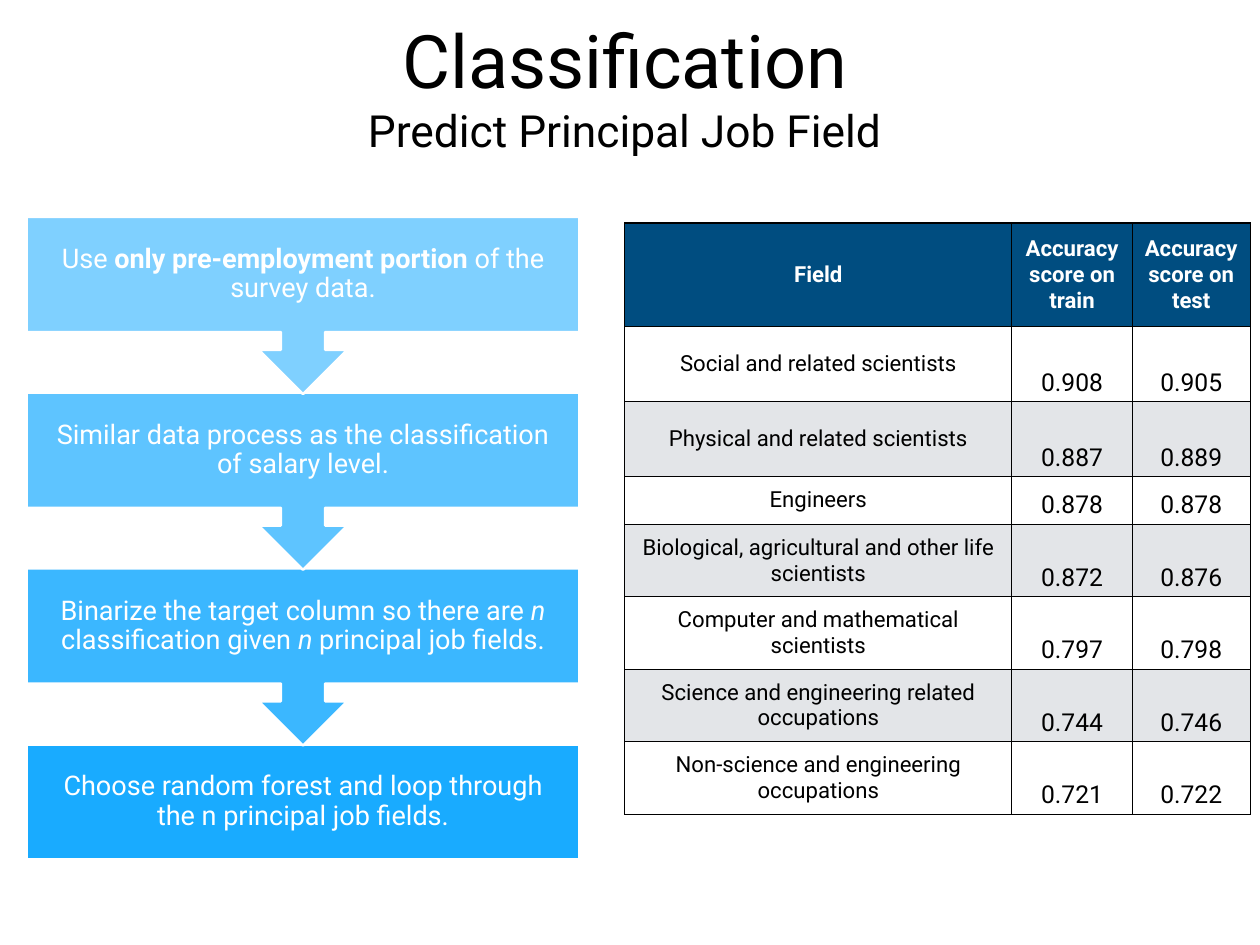
import pptx
import pptx.dml.color
import pptx.enum.shapes
import pptx.enum.text
import pptx.oxml
import pptx.oxml.ns
import pptx.util

FONT = "Roboto"
WIDTH = pptx.util.Inches(14.22)
HEIGHT = pptx.util.Inches(10.67)
ALIGN = pptx.enum.text.PP_ALIGN
ANCHOR = pptx.enum.text.MSO_ANCHOR
SHAPE = pptx.enum.shapes.MSO_SHAPE

STEPS = [
    [("Use ", ""), ("only pre-employment portion", "b"), (" of the survey data.", "")],
    [("Similar data process as the classification of salary level.", "")],
    [("Binarize the target column so there are ", ""), ("n", "i"),
     (" classification given ", ""), ("n", "i"), (" principal job fields.", "")],
    [("Choose random forest and loop through the n principal job fields.", "")],
]
STEP_TOP, STEP_PITCH = 22.96, 18.6
BOX_HEIGHT, CALLOUT_HEIGHT = 12.18, 18.74

SCORES = [
    ("Field", "Accuracy score on train", "Accuracy score on test"),
    ("Social and related scientists", "0.908", "0.905"),
    ("Physical and related scientists", "0.887", "0.889"),
    ("Engineers", "0.878", "0.878"),
    ("Biological, agricultural and other life scientists", "0.872", "0.876"),
    ("Computer and mathematical scientists", "0.797", "0.798"),
    ("Science and engineering related occupations", "0.744", "0.746"),
    ("Non-science and engineering occupations", "0.721", "0.722"),
]
COL_WIDTHS = [30.73, 9.56, 9.35]
ROW_HEIGHTS = [10.97, 7.93, 7.93, 5.06] + [7.67] * 4


def cols(n):
    return int(WIDTH * n / 100)


def rows(n):
    return int(HEIGHT * n / 100)


def color(value):
    return pptx.dml.color.RGBColor.from_string(value)


def paint(fill, value):
    fill.solid()
    fill.fore_color.rgb = color(value)


def add_run(p, text, size, value, style=""):
    r = p.add_run()
    r.text = text
    r.font.name = FONT
    r.font.size = pptx.util.Pt(size)
    r.font.bold = "b" in style
    r.font.italic = "i" in style
    r.font.color.rgb = color(value)


def set_frame(tf, inset):
    tf.word_wrap = True
    tf.auto_size = pptx.enum.text.MSO_AUTO_SIZE.NONE
    tf.vertical_anchor = ANCHOR.MIDDLE
    tf.margin_left = tf.margin_right = pptx.util.Inches(inset)
    tf.margin_top = tf.margin_bottom = pptx.util.Inches(inset)


def add_title(s):
    sp = s.shapes.title
    sp.left, sp.top, sp.width, sp.height = cols(6.89), 0, cols(85.37), rows(18.18)
    tf = sp.text_frame
    set_frame(tf, 0.06)
    lines = [("Classification", 60), ("Predict Principal Job Field", 36)]
    for i, (text, size) in enumerate(lines):
        p = tf.add_paragraph() if i else tf.paragraphs[0]
        p.alignment = ALIGN.CENTER
        add_run(p, text, size, "000000")


def add_step(s, i):
    last = i == len(STEPS) - 1
    kind = SHAPE.RECTANGLE if last else SHAPE.DOWN_ARROW_CALLOUT
    height = BOX_HEIGHT if last else CALLOUT_HEIGHT
    sp = s.shapes.add_shape(kind, cols(2.11), rows(STEP_TOP + i * STEP_PITCH),
                            cols(43.88), rows(height))
    sp.shadow.inherit = False
    paint(sp.fill, "00A2FF")
    opacity = round(50 + 40 * i / (len(STEPS) - 1))
    srgb = sp.fill._xPr.find(".//" + pptx.oxml.ns.qn("a:srgbClr"))
    alpha = pptx.oxml.parse_xml(
        f'<a:alpha {pptx.oxml.ns.nsdecls("a")} val="{opacity * 1000}"/>')
    srgb.append(alpha)
    sp.line.color.rgb = color("FFFFFF")
    sp.line.width = pptx.util.Pt(2)
    tf = sp.text_frame
    set_frame(tf, 0.17)
    p = tf.paragraphs[0]
    p.alignment = ALIGN.CENTER
    p.line_spacing = 0.9
    for text, style in STEPS[i]:
        add_run(p, text, 22, "FFFFFF", style)


def add_borders(cell):
    tcPr = cell._tc.get_or_add_tcPr()
    for side in "LRTB":
        tcPr.append(pptx.oxml.parse_xml(
            f'<a:ln{side} {pptx.oxml.ns.nsdecls("a")} w="12700"><a:solidFill>'
            f'<a:srgbClr val="000000"/></a:solidFill></a:ln{side}>'))


def fill_cell(cell, text, row, col):
    header = row == 0
    score = not header and col > 0
    add_borders(cell)
    paint(cell.fill, "004D80" if header else "FFFFFF" if row % 2 else "E3E5E8")
    cell.vertical_anchor = ANCHOR.BOTTOM if score else ANCHOR.MIDDLE
    p = cell.text_frame.paragraphs[0]
    p.alignment = ALIGN.CENTER
    add_run(p, text, 20 if score else 18, "FFFFFF" if header else "000000",
            "b" if header else "")


def add_scores(s):
    frame = s.shapes.add_table(len(SCORES), len(COL_WIDTHS), cols(49.58), rows(23.6),
                               cols(sum(COL_WIDTHS)), rows(sum(ROW_HEIGHTS)))
    table = frame.table
    for col, width in zip(table.columns, COL_WIDTHS):
        col.width = cols(width)
    for row, height in zip(table.rows, ROW_HEIGHTS):
        row.height = rows(height)
    for i, record in enumerate(SCORES):
        for j, text in enumerate(record):
            fill_cell(table.cell(i, j), text, i, j)


def main():
    prs = pptx.Presentation()
    prs.slide_width, prs.slide_height = WIDTH, HEIGHT
    s = prs.slides.add_slide(prs.slide_layouts.get_by_name("Title Only"))
    add_title(s)
    add_scores(s)
    for i in reversed(range(len(STEPS))):
        add_step(s, i)
    prs.save("out.pptx")


if __name__ == "__main__":
    main()
